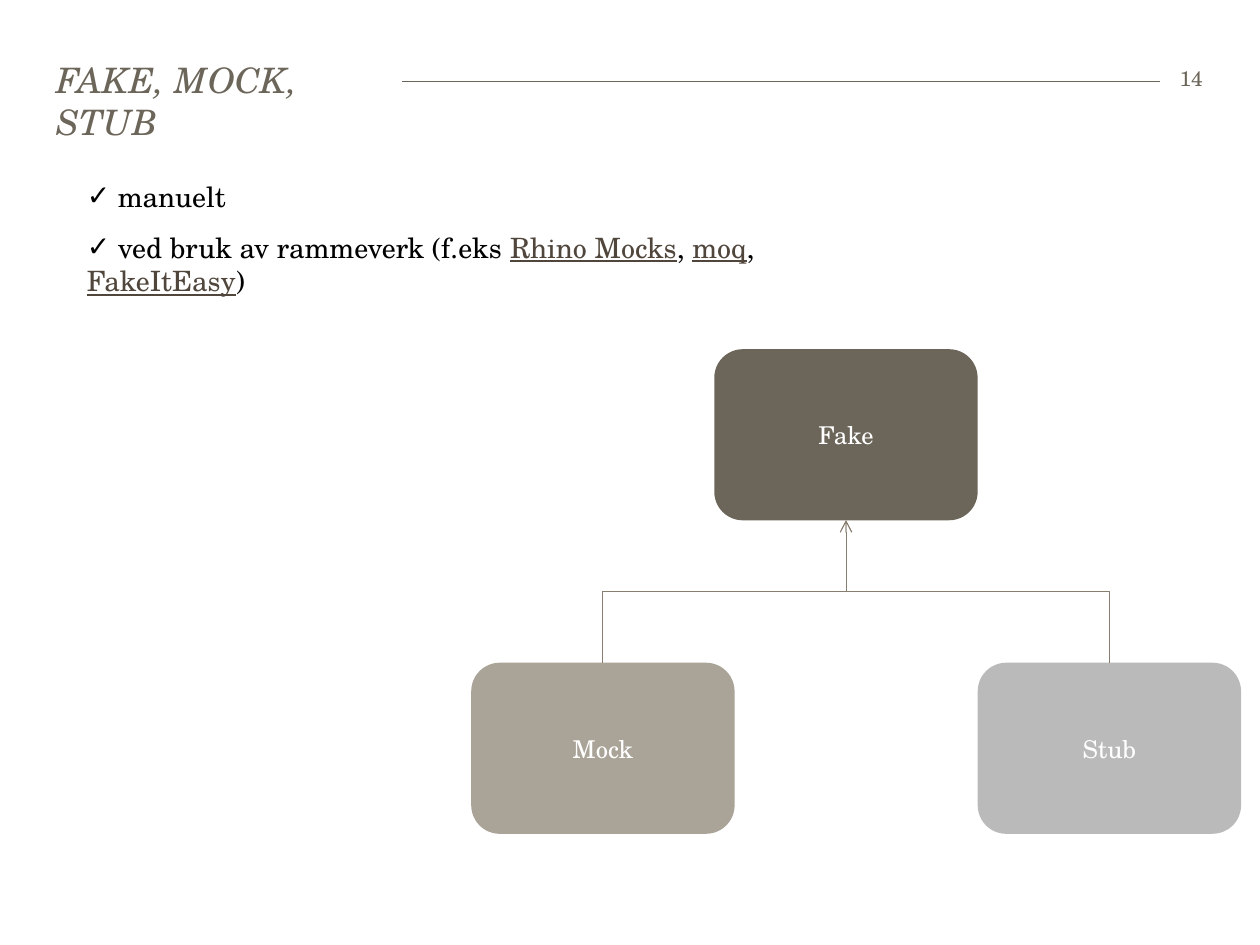
from dataclasses import dataclass

from lxml.etree import SubElement
from pptx import Presentation
from pptx.dml.color import RGBColor
from pptx.enum.shapes import MSO_CONNECTOR, MSO_SHAPE
from pptx.enum.text import MSO_ANCHOR, MSO_AUTO_SIZE, PP_ALIGN
from pptx.oxml.ns import qn
from pptx.util import Cm, Pt

FONT = "TeX Gyre Schola"
WHITE, BLACK, TAUPE, LINE, LINK = "FFFFFF", "000000", "6C6559", "887E6F", "50463C"
BOX_WIDTH, BOX_HEIGHT = 5.31, 3.45


@dataclass
class TestDouble:
    label: str
    left: float
    top: float
    fill: str

    @property
    def center(self) -> float:
        return self.left + BOX_WIDTH / 2


@dataclass
class Span:
    text: str
    linked: bool = False


FAKE = TestDouble("Fake", 14.4, 7.04, TAUPE)
VARIANTS = [
    TestDouble("Mock", 9.5, 13.36, "AAA398"),
    TestDouble("Stub", 19.71, 13.36, "BABABA"),
]
BULLETS = [
    [Span(" manuelt")],
    [
        Span(" ved bruk av rammeverk (f.eks "),
        Span("Rhino Mocks", True),
        Span(", "),
        Span("moq", True),
        Span(", "),
        Span("FakeItEasy", True),
        Span(")"),
    ],
]


def rgb(color: str) -> RGBColor:
    return RGBColor.from_string(color)


def fill_solid(shape, color: str) -> None:
    shape.fill.solid()
    shape.fill.fore_color.rgb = rgb(color)


def place(shape, left: float, top: float, width: float, height: float) -> None:
    shape.left, shape.top = Cm(left), Cm(top)
    shape.width, shape.height = Cm(width), Cm(height)


def add_run(paragraph, text: str, size: float, color: str):
    run = paragraph.add_run()
    run.text = text
    run.font.name = FONT
    run.font.size = Pt(size)
    run.font.color.rgb = rgb(color)
    return run


def set_frame(frame, anchor, left=0.25, top=0.13, right=0.25, bottom=0.13) -> None:
    """Set wrapping, anchor and margins in centimetres."""
    frame.word_wrap = True
    frame.auto_size = MSO_AUTO_SIZE.NONE
    frame.vertical_anchor = anchor
    frame.margin_left, frame.margin_right = Cm(left), Cm(right)
    frame.margin_top, frame.margin_bottom = Cm(top), Cm(bottom)


def style_line(connector, color: str) -> None:
    connector.line.color.rgb = rgb(color)
    connector.line.width = Pt(0.5)
    SubElement(connector._element.spPr, qn("a:effectLst"))


def add_header_rule(slide) -> None:
    """Draw the rule behind the title and the page number."""
    rule = slide.shapes.add_connector(
        MSO_CONNECTOR.STRAIGHT, Cm(1.17), Cm(1.65), Cm(24.26), Cm(1.65)
    )
    style_line(rule, TAUPE)
    slide.shapes.element.insert(2, rule._element)


def fill_title(title) -> None:
    place(title, 0.89, 1.17, 7.21, 0.86)
    fill_solid(title, WHITE)
    set_frame(title.text_frame, MSO_ANCHOR.TOP, top=0, bottom=0)
    paragraph = title.text_frame.paragraphs[0]
    paragraph.alignment = PP_ALIGN.LEFT
    run = add_run(paragraph, "FAKE, MOCK, STUB", 20, TAUPE)
    run.font.italic = True
    run.font._element.set("spc", "20")


def add_page_number(slide) -> None:
    number = slide.shapes.add_textbox(Cm(23.39), Cm(1.19), Cm(0.86), Cm(0.76))
    fill_solid(number, WHITE)
    set_frame(number.text_frame, MSO_ANCHOR.MIDDLE, left=0.1, right=0)
    paragraph = number.text_frame.paragraphs[0]
    paragraph.alignment = PP_ALIGN.RIGHT
    add_run(paragraph, "14", 12, TAUPE)


def fill_bullets(body) -> None:
    place(body, 1.5, 3.48, 16.74, 1.98)
    frame = body.text_frame
    set_frame(frame, MSO_ANCHOR.TOP)
    for index, spans in enumerate(BULLETS):
        paragraph = frame.add_paragraph() if index else frame.paragraphs[0]
        properties = paragraph._p.get_or_add_pPr()
        properties.set("marL", "0")
        properties.set("indent", "0")
        SubElement(properties, qn("a:buChar")).set("char", "✓")
        paragraph.space_before = Pt(6 if index else 0)
        paragraph.space_after = Pt(4)
        for span in spans:
            run = add_run(paragraph, span.text, 16, LINK if span.linked else BLACK)
            run.font.underline = span.linked


def add_double(slide, double: TestDouble) -> None:
    box = slide.shapes.add_shape(
        MSO_SHAPE.ROUNDED_RECTANGLE,
        Cm(double.left), Cm(double.top), Cm(BOX_WIDTH), Cm(BOX_HEIGHT),
    )
    box.shadow.inherit = False
    fill_solid(box, double.fill)
    box.line.fill.background()
    set_frame(box.text_frame, MSO_ANCHOR.MIDDLE)
    paragraph = box.text_frame.paragraphs[0]
    paragraph.alignment = PP_ALIGN.CENTER
    add_run(paragraph, double.label, 14, WHITE)


def add_inheritance(slide, child: TestDouble, parent: TestDouble) -> None:
    """Draw an elbow, turned by 270 degrees, from the child's top to the parent's bottom."""
    parent_bottom = parent.top + BOX_HEIGHT
    rise = child.top - parent_bottom
    run = child.center - parent.center
    mid_x = (child.center + parent.center) / 2
    mid_y = (child.top + parent_bottom) / 2
    elbow = slide.shapes.add_connector(
        MSO_CONNECTOR.ELBOW,
        Cm(mid_x - rise / 2), Cm(mid_y + run / 2),
        Cm(mid_x + rise / 2), Cm(mid_y - run / 2),
    )
    elbow._element.spPr.find(qn("a:xfrm")).set("rot", str(270 * 60000))
    style_line(elbow, LINE)
    SubElement(elbow.line._get_or_add_ln(), qn("a:tailEnd")).set("type", "arrow")


def main() -> None:
    presentation = Presentation()
    presentation.slide_width, presentation.slide_height = Cm(25.4), Cm(19.05)
    slide = presentation.slides.add_slide(presentation.slide_layouts[1])
    add_header_rule(slide)
    fill_title(slide.shapes.title)
    add_page_number(slide)
    fill_bullets(slide.placeholders[1])
    for double in [FAKE, *VARIANTS]:
        add_double(slide, double)
    for variant in VARIANTS:
        add_inheritance(slide, variant, FAKE)
    presentation.save("out.pptx")


if __name__ == "__main__":
    main()
